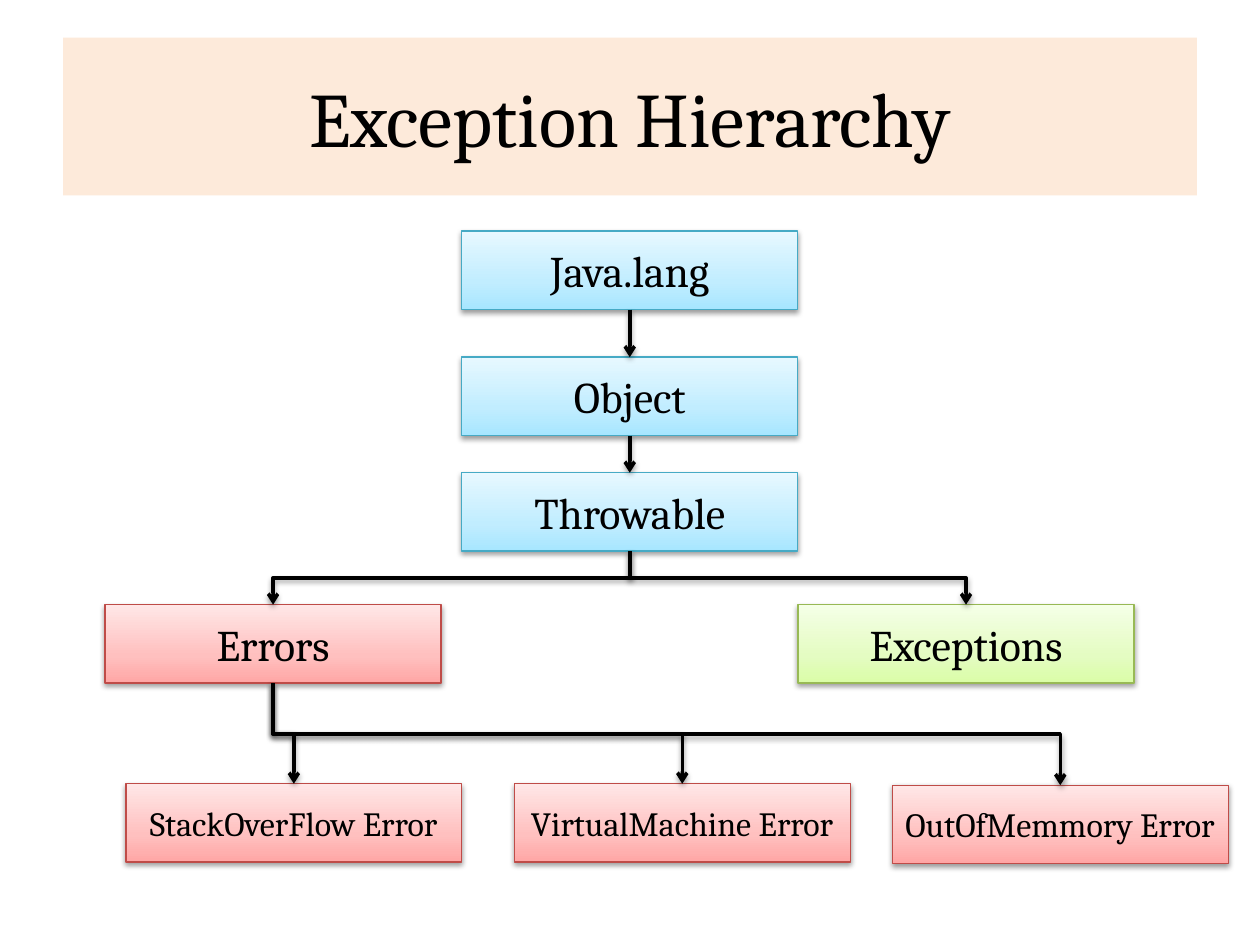
from pptx import Presentation
from pptx.dml.color import RGBColor
from pptx.enum.shapes import MSO_CONNECTOR, MSO_SHAPE
from pptx.enum.text import MSO_ANCHOR, PP_ALIGN
from pptx.oxml import parse_xml
from pptx.oxml.ns import nsdecls
from pptx.util import Cm, Pt

RECT = MSO_SHAPE.RECTANGLE
LINE, ELBOW = MSO_CONNECTOR.STRAIGHT, MSO_CONNECTOR.ELBOW
MIDDLE, CENTER = MSO_ANCHOR.MIDDLE, PP_ALIGN.CENTER
BOTTOM, TOP = 2, 0

FONT = "Cambria"
COLORS = {"text": "000000", "title": "FDEADA",
          "blue": "46AAC5", "red": "BF4C48", "green": "98B955"}
# Gradient stops from the bottom of a box to its top
FADES = {"blue": ("A7E6FF", "C1EDFF", "E7F8FF"),
         "red": ("FFA6A5", "FFC0BF", "FFE7E7"),
         "green": ("DAFDA7", "E4FCC2", "F5FFE7")}
STOPS = (0, 35, 100)

TITLE = "Exception Hierarchy"
WIDE, HIGH = 6.77, 1.58
# Text, left and top in cm, colour, text size
BOXES = [
    ("Java.lang", 9.31, 4.66, "blue", 25),
    ("Object", 9.31, 7.2, "blue", 25),
    ("Throwable", 9.31, 9.53, "blue", 25),
    ("Errors", 2.12, 12.19, "red", 25),
    ("Exceptions", 16.09, 12.19, "green", 25),
    ("StackOverFlow Error", 2.54, 15.8, "red", 19.4),
    ("VirtualMachine Error", 10.37, 15.8, "red", 19.4),
    ("OutOfMemmory Error", 17.99, 15.83, "red", 19.4),
]
LINKS = [
    ("Java.lang", "Object"),
    ("Object", "Throwable"),
    ("Throwable", "Errors"),
    ("Throwable", "Exceptions"),
    ("Errors", "StackOverFlow Error"),
    ("Errors", "OutOfMemmory Error"),
    ("Errors", "VirtualMachine Error"),
]


def color(name):
    return RGBColor.from_string(COLORS[name])


def add_xml(parent, xml):
    tag, rest = xml.split(" ", 1)
    parent.append(parse_xml(f"{tag} {nsdecls('a')} {rest}"))


def shade(shape):
    add_xml(shape._element.spPr,
            '<a:effectLst ><a:outerShdw blurRad="40000" dist="20000" '
            'dir="5400000" rotWithShape="0"><a:srgbClr val="000000">'
            '<a:alpha val="38000"/></a:srgbClr></a:outerShdw></a:effectLst>')


def write(shape, text, size):
    frame = shape.text_frame
    frame.text = text
    frame.vertical_anchor = MIDDLE
    para = frame.paragraphs[0]
    para.alignment = CENTER
    para.font.name, para.font.size = FONT, Pt(size)
    para.font.color.rgb = color("text")


def add_box(slide, text, left, top, hue, size):
    box = slide.shapes.add_shape(RECT, Cm(left), Cm(top), Cm(WIDE), Cm(HIGH))
    stops = "".join(
        f'<a:gs pos="{pos * 1000}"><a:srgbClr val="{tint}"/></a:gs>'
        for pos, tint in zip(STOPS, FADES[hue]))
    add_xml(box._element.spPr,
            f'<a:gradFill rotWithShape="1"><a:gsLst>{stops}</a:gsLst>'
            '<a:lin ang="16200000" scaled="0"/></a:gradFill>')
    box.line.color.rgb = color(hue)
    box.line.width = Pt(0.75)
    shade(box)
    write(box, text, size)
    box.text_frame.word_wrap = False
    return box


def add_link(slide, start, end):
    x1, y1 = start.left + start.width // 2, start.top + start.height
    x2, y2 = end.left + end.width // 2, end.top
    kind = LINE if x1 == x2 else ELBOW
    link = slide.shapes.add_connector(kind, x1, y1, x2, y2)
    link.begin_connect(start, BOTTOM)
    link.end_connect(end, TOP)
    if kind == ELBOW:
        # Turn the elbow so that it leaves and arrives vertically
        wide, high = y2 - y1, abs(x2 - x1)
        link.left, link.top = (x1 + x2 - wide) // 2, (y1 + y2 - high) // 2
        link.width, link.height = wide, high
        right = x2 > x1
        frame = link._element.spPr.xfrm
        frame.set("rot", "16200000" if right else "5400000")
        frame.set("flipH", "1" if right else "0")
        frame.set("flipV", "0")
    link.line.color.rgb = color("text")
    link.line.width = Pt(2)
    add_xml(link.line._get_or_add_ln(), '<a:tailEnd type="arrow"/>')
    shade(link)


def main():
    deck = Presentation()
    deck.slide_width, deck.slide_height = Cm(25.4), Cm(19.05)
    slide = deck.slides.add_slide(deck.slide_layouts[5])

    # Title band
    title = slide.shapes.title
    title.left, title.top = Cm(1.27), Cm(0.76)
    title.width, title.height = Cm(22.86), Cm(3.18)
    title.fill.solid()
    title.fill.fore_color.rgb = color("title")
    write(title, TITLE, 44)

    # Class boxes and the arrows between them
    boxes = {row[0]: add_box(slide, *row) for row in BOXES}
    for start, end in LINKS:
        add_link(slide, boxes[start], boxes[end])

    deck.save("out.pptx")


if __name__ == "__main__":
    main()
